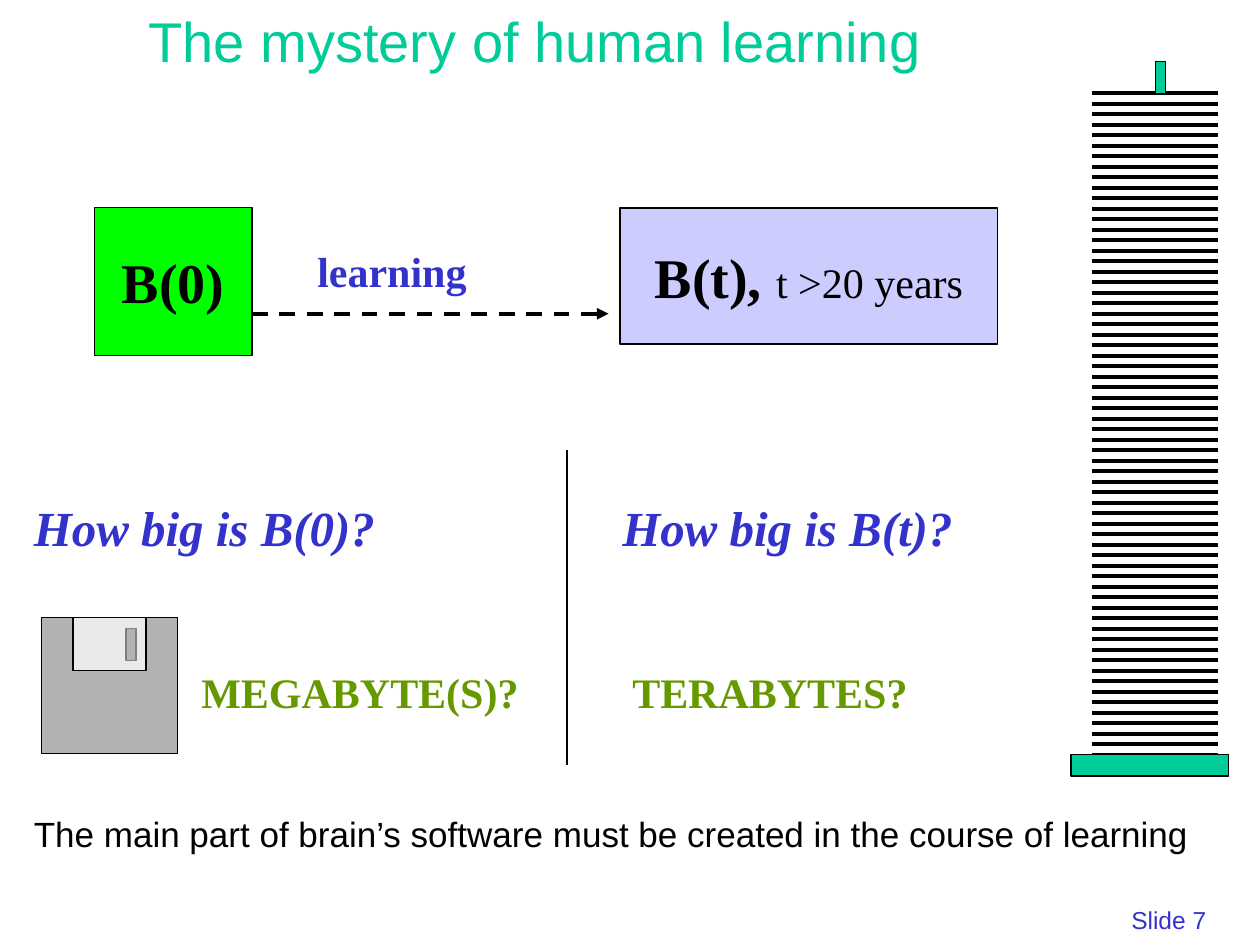
from dataclasses import dataclass

from lxml.etree import SubElement
from pptx import Presentation
from pptx.dml.color import RGBColor
from pptx.enum.dml import MSO_LINE_DASH_STYLE as Dash
from pptx.enum.shapes import MSO_CONNECTOR as Connector, MSO_SHAPE as Shape
from pptx.enum.text import MSO_ANCHOR as Anchor, MSO_AUTO_SIZE as AutoSize, PP_ALIGN as Align
from pptx.oxml.ns import qn
from pptx.util import Inches, Pt

SERIF, SANS = "Times New Roman", "Arial"
BLACK, BLUE, TEAL, OLIVE, GRAY = "000000", "3333CC", "00CC99", "669900", "B2B2B2"
DISK_COUNT, DISK_TOP, DISK_STEP = 64, 0.74, 1 / 12


@dataclass
class Span:
    text: str
    size: float
    color: str = BLACK
    font: str = SERIF
    bold: bool = False
    italic: bool = False


@dataclass
class Label:
    place: tuple[float, float, float, float]
    span: Span


@dataclass
class Block:
    place: tuple[float, float, float, float]
    fill: str
    line: str = BLACK
    spans: tuple[Span, ...] = ()


@dataclass
class Stroke:
    start: tuple[float, float]
    end: tuple[float, float]
    width: float = 2.25


LABELS = [
    Label((0.17, 3.9, 3.92, 0.57), Span("How big is B(0)?", 28, BLUE, bold=True, italic=True)),
    Label((4.84, 3.9, 2.95, 0.57), Span("How big is B(t)?", 28, BLUE, bold=True, italic=True)),
    Label((1.5, 5.24, 3, 0.5), Span("MEGABYTE(S)?", 24, OLIVE, bold=True)),
    Label((4.92, 5.24, 2.5, 0.5), Span("TERABYTES?", 24, OLIVE, bold=True)),
    Label((2.42, 1.9, 1.5, 0.5), Span("learning", 24, BLUE, bold=True)),
    Label((0.17, 6.4, 9.64, 0.44),
          Span("The main part of brain’s software must be created in the course of learning", 20, font=SANS)),
    Label((8.88, 7.13, 0.98, 0.34), Span("Slide 7", 14, BLUE, SANS)),
]

BRAINS = [
    Block((0.75, 1.65, 1.25, 1.17), "00FF00", spans=(Span("B(0)", 32, bold=True),)),
    Block((4.92, 1.65, 3, 1.08), "CCCCFF", spans=(Span("B(t), ", 32, bold=True), Span("t >20 years", 24))),
]
FLOPPY = [
    Block((0.33, 4.9, 1.08, 1.08), GRAY),
    Block((0.58, 4.9, 0.58, 0.42), "EAEAEA"),
    Block((1, 4.99, 0.08, 0.25), GRAY, "808080"),
]
SPINDLE = [Block((8.5, 5.99, 1.25, 0.17), TEAL), Block((9.17, 0.49, 0.08, 0.25), TEAL)]


def rgb(color: str) -> RGBColor:
    """Turn a hex string into a colour."""
    return RGBColor.from_string(color)


def add_span(para, span: Span) -> None:
    """Append one formatted run to a paragraph."""
    run = para.add_run()
    run.text = span.text
    font = run.font
    font.name, font.size = span.font, Pt(span.size)
    font.bold, font.italic = span.bold, span.italic
    font.color.rgb = rgb(span.color)


def fill_title(page) -> None:
    """Place and write the slide title."""
    title = page.shapes.title
    title.left, title.top, title.width, title.height = map(Inches, (1.08, 0, 6.6, 0.64))
    frame = title.text_frame
    frame.word_wrap, frame.auto_size = True, AutoSize.NONE
    frame.vertical_anchor = Anchor.TOP
    para = frame.paragraphs[0]
    para.alignment = Align.LEFT
    add_span(para, Span("The mystery of human learning", 32, TEAL, SANS))


def add_label(page, label: Label) -> None:
    """Draw a text box holding one line."""
    box = page.shapes.add_textbox(*map(Inches, label.place))
    frame = box.text_frame
    frame.word_wrap, frame.auto_size = True, AutoSize.SHAPE_TO_FIT_TEXT
    add_span(frame.paragraphs[0], label.span)


def add_block(page, block: Block) -> None:
    """Draw an outlined rectangle with optional centred text."""
    box = page.shapes.add_shape(Shape.RECTANGLE, *map(Inches, block.place))
    box.shadow.inherit = False
    box.fill.solid()
    box.fill.fore_color.rgb = rgb(block.fill)
    box.line.color.rgb = rgb(block.line)
    box.line.width = Pt(0.75)
    frame = box.text_frame
    frame.word_wrap, frame.vertical_anchor = False, Anchor.MIDDLE
    para = frame.paragraphs[0]
    para.alignment = Align.CENTER
    for span in block.spans:
        add_span(para, span)


def add_stroke(page, stroke: Stroke):
    """Draw a straight black line and return it."""
    ends = map(Inches, (*stroke.start, *stroke.end))
    connector = page.shapes.add_connector(Connector.STRAIGHT, *ends)
    connector.line.color.rgb = rgb(BLACK)
    connector.line.width = Pt(stroke.width)
    SubElement(connector.element.spPr, qn("a:effectLst"))
    return connector


def add_learning_arrow(page) -> None:
    """Draw the dashed arrow between the two brain states."""
    arrow = add_stroke(page, Stroke((2, 2.49), (4.83, 2.49)))
    arrow.line.dash_style = Dash.DASH
    SubElement(arrow.element.spPr.find(qn("a:ln")), qn("a:tailEnd"), type="triangle")


def main() -> None:
    """Build the slide and save it."""
    deck = Presentation()
    deck.slide_width, deck.slide_height = Inches(10), Inches(7.5)
    page = deck.slides.add_slide(deck.slide_layouts[5])
    fill_title(page)
    for block in BRAINS + FLOPPY:
        add_block(page, block)
    add_learning_arrow(page)
    for index in range(DISK_COUNT):
        level = DISK_TOP + index * DISK_STEP
        add_stroke(page, Stroke((8.67, level), (9.67, level)))
    for block in SPINDLE:
        add_block(page, block)
    add_stroke(page, Stroke((4.5, 3.57), (4.5, 6.07), 0.75))
    for label in LABELS:
        add_label(page, label)
    deck.save("out.pptx")


if __name__ == "__main__":
    main()
